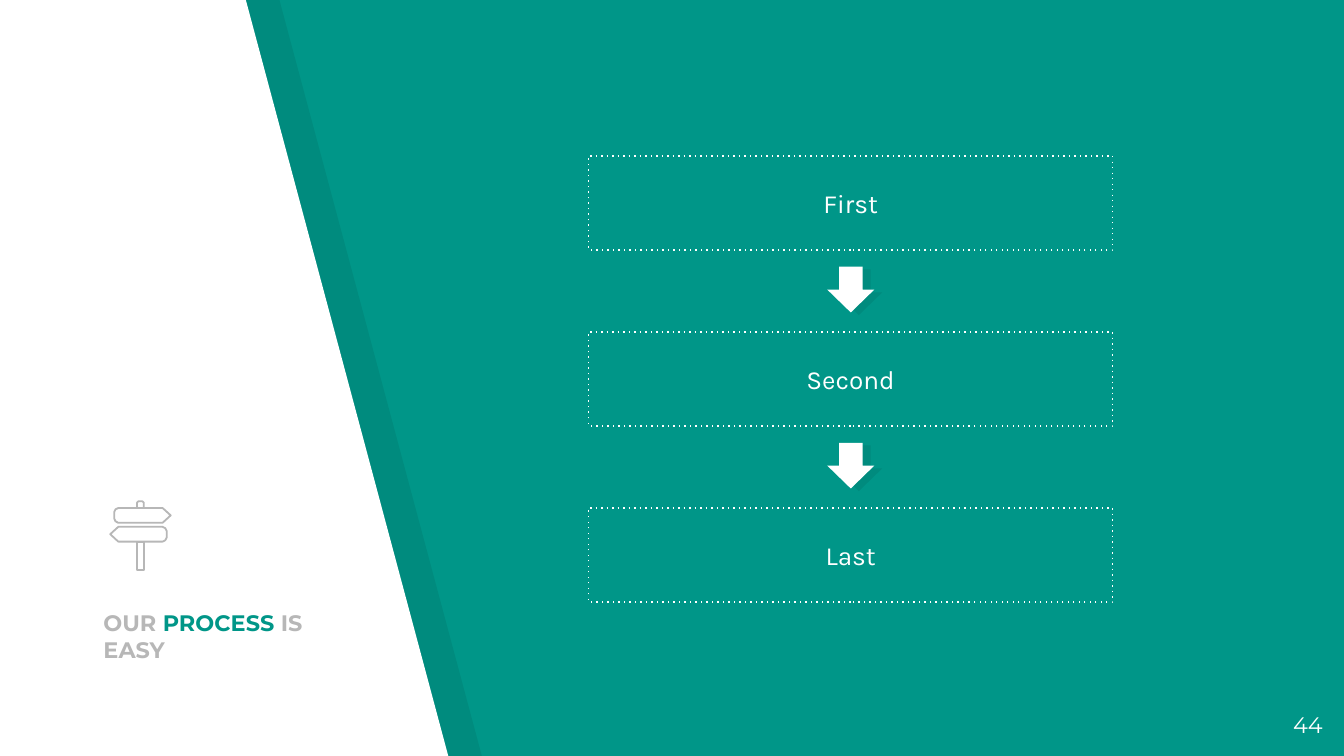
from dataclasses import dataclass

from lxml import etree
from pptx import Presentation
from pptx import util as u
from pptx.dml.color import RGBColor
from pptx.enum import dml, shapes, text
from pptx.oxml import ns

TEAL, WHITE, GRAY, BLACK = "009688", "FFFFFF", "B7B7B7", "000000"
SLIDE_WIDTH = 10
SLIDE_HEIGHT = SLIDE_WIDTH * 9 / 16
STEP_LEFT, STEP_TOP, STEP_PITCH = 4.38, 1.16, 1.31
STEP_WIDTH, STEP_HEIGHT = 3.9, 0.7
ARROW_LEFT, ARROW_DROP = 6.16, 0.82
SIGN_WIDTH, SIGN_HEIGHT = 0.42, 0.11

Point = tuple[float, float]


@dataclass
class Step:
    label: str
    row: int

    @property
    def top(self) -> float:
        return STEP_TOP + self.row * STEP_PITCH


STEPS = [Step(label, row) for row, label in enumerate(["First", "Second", "Last"])]
PANEL = [(-0.02, -0.01), (-0.02, 5.64), (3.34, 5.64), (1.83, 0)]
SIGN = [(0.36, 0), (0.03, 0), (0.01, 0.01), (0, 0.03), (0, 0.08),
        (0.01, 0.1), (0.03, SIGN_HEIGHT), (0.36, SIGN_HEIGHT),
        (SIGN_WIDTH, SIGN_HEIGHT / 2)]
POLE_CAP = [(1.07, 3.78), (1.07, 3.74), (1.06, 3.73), (1.03, 3.73),
            (1.02, 3.74), (1.02, 3.78)]
POLE = [(1.02, 4.03), (1.02, 4.24), (1.07, 4.24), (1.07, 4.03)]


def color(value: str) -> RGBColor:
    return RGBColor.from_string(value)


def paint(s, fill: str | None = None, alpha: int = 100,
          line: str | None = None, width: float = 0.75) -> None:
    s.shadow.inherit = False
    if fill:
        s.fill.solid()
        s.fill.fore_color.rgb = color(fill)
        if alpha < 100:
            clr = s._element.spPr.find(ns.qn("a:solidFill"))[0]
            etree.SubElement(clr, ns.qn("a:alpha")).set("val", str(alpha * 1000))
    else:
        s.fill.background()
    if line:
        s.line.color.rgb = color(line)
        s.line.width = u.Pt(width)
    else:
        s.line.fill.background()


def style(r, font: str, size: float, rgb: str, bold: bool = False) -> None:
    r.font.name = font
    r.font.size = u.Pt(size)
    r.font.bold = bold
    r.font.color.rgb = color(rgb)


def set_margins(tf) -> None:
    tf.margin_left = tf.margin_right = u.Inches(0.1)
    tf.margin_top = tf.margin_bottom = u.Inches(0.1)
    tf.word_wrap = True


def draw_outline(slide, points: list[Point], dx: float = 0, dy: float = 0):
    emu = [(u.Inches(x + dx), u.Inches(y + dy)) for x, y in points]
    builder = slide.shapes.build_freeform(*emu[0])
    builder.add_line_segments(emu[1:], close=True)
    return builder.convert_to_shape()


def draw_panel(slide) -> None:
    paint(draw_outline(slide, PANEL, dx=0.25), BLACK, alpha=7)
    paint(draw_outline(slide, PANEL), WHITE)


def draw_step(slide, step: Step) -> None:
    s = slide.shapes.add_shape(
        shapes.MSO_SHAPE.RECTANGLE, u.Inches(STEP_LEFT), u.Inches(step.top),
        u.Inches(STEP_WIDTH), u.Inches(STEP_HEIGHT))
    paint(s, line=WHITE)
    s.line.dash_style = dml.MSO_LINE.ROUND_DOT
    s.line._ln.find(ns.qn("a:prstDash")).set("val", "dot")
    tf = s.text_frame
    set_margins(tf)
    tf.vertical_anchor = text.MSO_ANCHOR.MIDDLE
    tf.text = step.label
    p = tf.paragraphs[0]
    p.alignment = text.PP_ALIGN.CENTER
    style(p.runs[0], "Karla", 14, WHITE)


def draw_arrow(slide, step: Step) -> None:
    for dx, dy, fill, alpha in [(0.06, 0.02, BLACK, 7), (0, 0, WHITE, 100)]:
        s = slide.shapes.add_shape(
            shapes.MSO_SHAPE.RIGHT_ARROW, u.Inches(ARROW_LEFT + dx),
            u.Inches(step.top + ARROW_DROP + dy), u.Inches(0.34), u.Inches(0.35))
        s.rotation = 90
        paint(s, fill, alpha)


def draw_signpost(slide) -> None:
    left_sign = [(SIGN_WIDTH - x, y) for x, y in SIGN]
    for points, dx, dy in [(SIGN, 0.85, 3.78), (left_sign, 0.82, 3.92),
                           (POLE_CAP, 0, 0), (POLE, 0, 0)]:
        paint(draw_outline(slide, points, dx, dy), line=GRAY, width=0.96)


def write_title(slide) -> None:
    title = slide.shapes.title
    title.left, title.top = u.Inches(0.67), u.Inches(4.5)
    title.width, title.height = u.Inches(1.76), u.Inches(0.53)
    tf = title.text_frame
    set_margins(tf)
    tf.auto_size = text.MSO_AUTO_SIZE.NONE
    tf.vertical_anchor = text.MSO_ANCHOR.BOTTOM
    p = tf.paragraphs[0]
    p.alignment = text.PP_ALIGN.LEFT
    for words, rgb in [("OUR ", GRAY), ("PROCESS", TEAL), (" IS EASY", GRAY)]:
        r = p.add_run()
        r.text = words
        style(r, "Montserrat", 12, rgb, bold=True)


def write_page_number(slide, number: str) -> None:
    box = slide.shapes.add_textbox(
        u.Inches(9.34), u.Inches(5.19), u.Inches(0.6), u.Inches(0.43))
    tf = box.text_frame
    set_margins(tf)
    tf.text = number
    p = tf.paragraphs[0]
    p.alignment = text.PP_ALIGN.RIGHT
    style(p.runs[0], "Montserrat", 12, WHITE)


def main() -> None:
    prs = Presentation()
    prs.slide_width = u.Inches(SLIDE_WIDTH)
    prs.slide_height = u.Inches(SLIDE_HEIGHT)
    slide = prs.slides.add_slide(prs.slide_layouts[5])
    slide.background.fill.solid()
    slide.background.fill.fore_color.rgb = color(TEAL)
    draw_panel(slide)
    slide.shapes._spTree.append(slide.shapes.title._element)
    write_title(slide)
    for step in STEPS:
        draw_step(slide, step)
    for step in STEPS[:-1]:
        draw_arrow(slide, step)
    draw_signpost(slide)
    write_page_number(slide, "44")
    prs.save("out.pptx")


if __name__ == "__main__":
    main()
